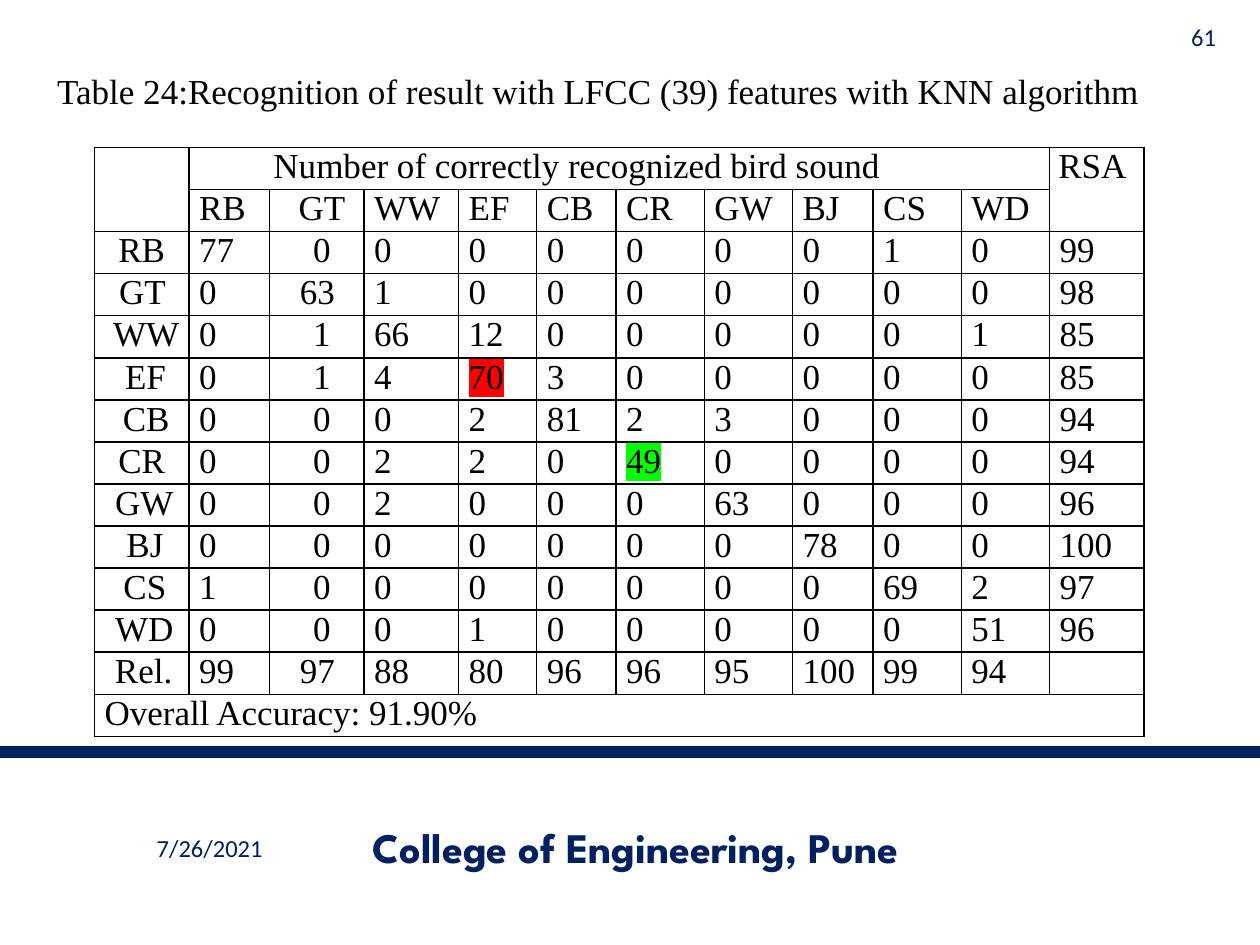
from lxml.etree import SubElement
from pptx import Presentation
from pptx.dml.color import RGBColor
from pptx.enum.shapes import MSO_CONNECTOR
from pptx.enum.text import MSO_ANCHOR, MSO_AUTO_SIZE, PP_ALIGN
from pptx.oxml.ns import qn
from pptx.util import Inches, Pt

NAVY = RGBColor(0x00, 0x20, 0x60)
BLACK = RGBColor(0x00, 0x00, 0x00)
RED = RGBColor(0xFF, 0x00, 0x00)
GREEN = RGBColor(0x00, 0xFF, 0x00)
SERIF = "Times New Roman"

COLUMN_WIDTHS = [0.75, 0.64, 0.75, 0.75, 0.62, 0.63, 0.7, 0.7, 0.64, 0.7, 0.7, 0.75]
TABLE_HEIGHT = 4.67
BIRDS = ["RB", "GT", "WW", "EF", "CB", "CR", "GW", "BJ", "CS", "WD"]
# Per bird: recognized counts, then RSA; the last row is reliability
RESULTS = [
    [77, 0, 0, 0, 0, 0, 0, 0, 1, 0, 99],
    [0, 63, 1, 0, 0, 0, 0, 0, 0, 0, 98],
    [0, 1, 66, 12, 0, 0, 0, 0, 0, 1, 85],
    [0, 1, 4, 70, 3, 0, 0, 0, 0, 0, 85],
    [0, 0, 0, 2, 81, 2, 3, 0, 0, 0, 94],
    [0, 0, 2, 2, 0, 49, 0, 0, 0, 0, 94],
    [0, 0, 2, 0, 0, 0, 63, 0, 0, 0, 96],
    [0, 0, 0, 0, 0, 0, 0, 78, 0, 0, 100],
    [1, 0, 0, 0, 0, 0, 0, 0, 69, 2, 97],
    [0, 0, 0, 1, 0, 0, 0, 0, 0, 51, 96],
    [99, 97, 88, 80, 96, 96, 95, 100, 99, 94],
]
ROW_LABEL_INDENTS = [0, 0.01, 0.07, 0.06, 0.07, 0, 0.04, 0.05, 0.05, 0.04, 0.03]
HIGHLIGHTS = {(5, 4): RED, (7, 6): GREEN}  # (row, column) in the table


def style_paragraph(paragraph, size, font_name, color, alignment, bold=False):
    paragraph.alignment = alignment
    font = paragraph.font
    font.size, font.name, font.bold = Pt(size), font_name, bold
    font.color.rgb = color


def add_label(slide, text, box, size, font_name, alignment, bold=False):
    shape = slide.shapes.add_textbox(*map(Inches, box))
    frame = shape.text_frame
    frame.word_wrap = True
    frame.vertical_anchor = MSO_ANCHOR.MIDDLE
    frame.text = text
    style_paragraph(frame.paragraphs[0], size, font_name, NAVY, alignment, bold)


def add_rule(slide, y):
    line = slide.shapes.add_connector(
        MSO_CONNECTOR.STRAIGHT, 0, Inches(y), Inches(10), Inches(y))
    line.line.color.rgb = NAVY
    line.line.width = Pt(6.5)
    SubElement(line._element.spPr, qn("a:effectLst"))


def set_title(slide, text):
    title = slide.shapes.title
    title.left, title.top = Inches(0.25), Inches(0.5)
    title.width, title.height = Inches(9), Inches(0.44)
    frame = title.text_frame
    frame.auto_size = MSO_AUTO_SIZE.SHAPE_TO_FIT_TEXT
    frame.vertical_anchor = MSO_ANCHOR.TOP
    frame.text = text
    style_paragraph(frame.paragraphs[0], 20, SERIF, BLACK, PP_ALIGN.CENTER)


def format_cell(cell):
    """Clear margins and fill, and draw a thin black border."""
    cell.margin_left = cell.margin_right = cell.margin_top = cell.margin_bottom = 0
    properties = cell._tc.get_or_add_tcPr()
    for side in ("a:lnL", "a:lnR", "a:lnT", "a:lnB"):
        border = SubElement(properties, qn(side), w=str(Pt(1)))
        fill = SubElement(border, qn("a:solidFill"))
        SubElement(fill, qn("a:srgbClr"), val=str(BLACK))
    cell.fill.background()


def write_cell(cell, text, indent=0.08, alignment=PP_ALIGN.LEFT, highlight=None):
    cell.text = str(text)
    paragraph = cell.text_frame.paragraphs[0]
    paragraph._p.get_or_add_pPr().set("marL", str(Inches(indent)))
    style_paragraph(paragraph, 20, SERIF, BLACK, alignment)
    if highlight is not None:
        run_properties = paragraph.runs[0]._r.get_or_add_rPr()
        mark = SubElement(run_properties, qn("a:highlight"))
        SubElement(mark, qn("a:srgbClr"), val=str(highlight))


def add_results_table(slide):
    row_count, column_count = len(RESULTS) + 3, len(COLUMN_WIDTHS)
    table = slide.shapes.add_table(
        row_count, column_count, Inches(0.75), Inches(1.17),
        Inches(sum(COLUMN_WIDTHS)), Inches(TABLE_HEIGHT)).table
    table.first_row = table.horz_banding = False
    for column, width in zip(table.columns, COLUMN_WIDTHS):
        column.width = Inches(width)
    for row in table.rows:
        row.height = Inches(TABLE_HEIGHT / row_count)
        for cell in row.cells:
            format_cell(cell)

    # Merged header and footer cells
    last_row, last_column = row_count - 1, column_count - 1
    table.cell(0, 0).merge(table.cell(1, 0))
    table.cell(0, 1).merge(table.cell(0, last_column - 1))
    table.cell(0, last_column).merge(table.cell(1, last_column))
    table.cell(last_row, 0).merge(table.cell(last_row, last_column))
    write_cell(table.cell(0, 1), "Number of correctly recognized bird sound", 0.67)
    write_cell(table.cell(0, last_column), "RSA", 0.07)
    write_cell(table.cell(last_row, 0), "Overall Accuracy: 91.90%")

    # Column headings, with the GT column centred
    for column, bird in enumerate(BIRDS, 1):
        alignment = PP_ALIGN.CENTER if column == 2 else PP_ALIGN.LEFT
        write_cell(table.cell(1, column), bird, alignment=alignment)

    # Row labels and values
    labels = zip(BIRDS + ["Rel."], ROW_LABEL_INDENTS, RESULTS)
    for row, (label, label_indent, values) in enumerate(labels, 2):
        write_cell(table.cell(row, 0), label, label_indent, PP_ALIGN.CENTER)
        for column, value in enumerate(values, 1):
            indent, alignment = 0.08, PP_ALIGN.LEFT
            if column == 2:
                indent, alignment = (0.01 if value > 9 else 0.08), PP_ALIGN.CENTER
            write_cell(table.cell(row, column), value, indent, alignment,
                       HIGHLIGHTS.get((row, column)))


def main():
    presentation = Presentation()
    presentation.slide_width, presentation.slide_height = Inches(10), Inches(7.5)
    slide = presentation.slides.add_slide(presentation.slide_layouts[5])

    # Footer and page number
    add_rule(slide, 5.97)
    add_label(slide, "7/26/2021", (0.5, 6.53, 2.33, 0.4), 14, "Calibri", PP_ALIGN.CENTER)
    add_label(slide, "College of Engineering, Pune", (2.42, 6.52, 5.25, 0.4), 24,
              "League Spartan", PP_ALIGN.CENTER, bold=True)
    add_label(slide, "61", (9.25, 0.15, 0.5, 0.28), 14, "Calibri", PP_ALIGN.RIGHT)

    # Caption and table
    set_title(slide, "Table 24:Recognition of result with LFCC (39) features with KNN algorithm")
    add_results_table(slide)
    presentation.save("out.pptx")


if __name__ == "__main__":
    main()
